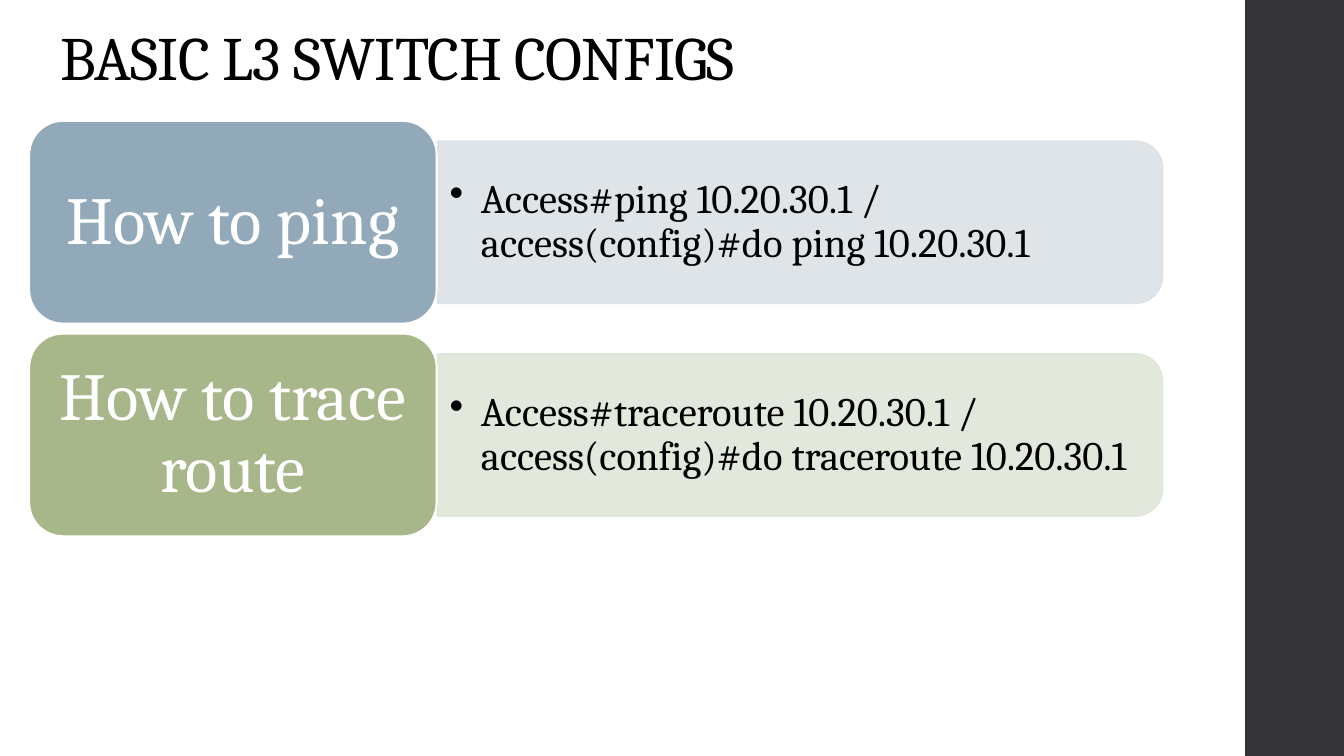
from lxml.etree import SubElement
from pptx import Presentation
from pptx.dml.color import RGBColor
from pptx.enum.shapes import MSO_SHAPE
from pptx.enum.text import MSO_ANCHOR, PP_ALIGN
from pptx.oxml.ns import qn
from pptx.util import Inches, Pt


def color(value):
    return RGBColor.from_string(value)


def write(shape, text, size, ink, align, anchor, inset_x, inset_y):
    frame = shape.text_frame
    frame.word_wrap = True
    frame.vertical_anchor = anchor
    frame.margin_left = frame.margin_right = Inches(inset_x)
    frame.margin_top = frame.margin_bottom = Inches(inset_y)
    paragraph = frame.paragraphs[0]
    paragraph.text = text
    paragraph.alignment = align
    paragraph.line_spacing = 0.9
    paragraph.font.name = "Cambria"
    paragraph.font.size = Pt(size)
    paragraph.font.color.rgb = color(ink)
    return paragraph


prs = Presentation()
prs.slide_width = Inches(13.33)
prs.slide_height = Inches(7.5)
slide = prs.slides.add_slide(prs.slide_layouts[6])
shapes = slide.shapes

sidebar = shapes.add_shape(MSO_SHAPE.RECTANGLE, Inches(12.35), 0, Inches(1), Inches(7.5))
sidebar.shadow.inherit = False
sidebar.fill.solid()
sidebar.fill.fore_color.rgb = color("353537")
sidebar.line.fill.background()

title = shapes.add_textbox(Inches(0.5), Inches(-0.47), Inches(10.6), Inches(1.45))
heading = write(title, "BASIC L3 SWITCH CONFIGS", 44, "000000",
                PP_ALIGN.LEFT, MSO_ANCHOR.BOTTOM, 0.1, 0.05)
heading.runs[0].font._element.set("spc", "-50")

topics = [
    ("How to ping", "Access#ping 10.20.30.1 / access(config)#do ping 10.20.30.1",
     "92A9B9", "DCE2E6"),
    ("How to trace route",
     "Access#traceroute 10.20.30.1 / access(config)#do traceroute 10.20.30.1",
     "A7B789", "E1E6DA"),
]

for row, (topic, commands, strong, pale) in enumerate(topics):
    top = 1.2 + row * 2.11

    panel = shapes.add_shape(MSO_SHAPE.ROUND_2_SAME_RECTANGLE, Inches(7.13),
                             Inches(top - 2.59), Inches(1.61), Inches(7.19))
    panel.rotation = 90
    panel.shadow.inherit = False
    panel.line.width = Pt(1.1)
    for paint in (panel.fill, panel.line.fill):
        paint.solid()
        paint.fore_color.rgb = color(pale)
    for tint in panel._element.spPr.iter(qn("a:srgbClr")):
        SubElement(tint, qn("a:alpha"), val="90000")

    detail = shapes.add_textbox(Inches(4.34), Inches(top + 0.28), Inches(7.11), Inches(1.45))
    bullet = write(detail, commands, 29, "000000",
                   PP_ALIGN.LEFT, MSO_ANCHOR.MIDDLE, 0.12, 0.06)
    properties = bullet._p.get_or_add_pPr()
    properties.set("marL", str(Inches(0.31)))
    properties.set("indent", str(Inches(-0.31)))
    SubElement(properties, qn("a:buChar"), char="•")

    label = shapes.add_shape(MSO_SHAPE.ROUNDED_RECTANGLE, Inches(0.29), Inches(top),
                             Inches(4.04), Inches(2.01))
    label.shadow.inherit = False
    label.fill.solid()
    label.fill.fore_color.rgb = color(strong)
    label.line.color.rgb = color("FFFFFF")
    label.line.width = Pt(1.35)
    write(label, topic, 48, "FFFFFF", PP_ALIGN.CENTER, MSO_ANCHOR.MIDDLE, 0.2, 0.1)

prs.save("out.pptx")
